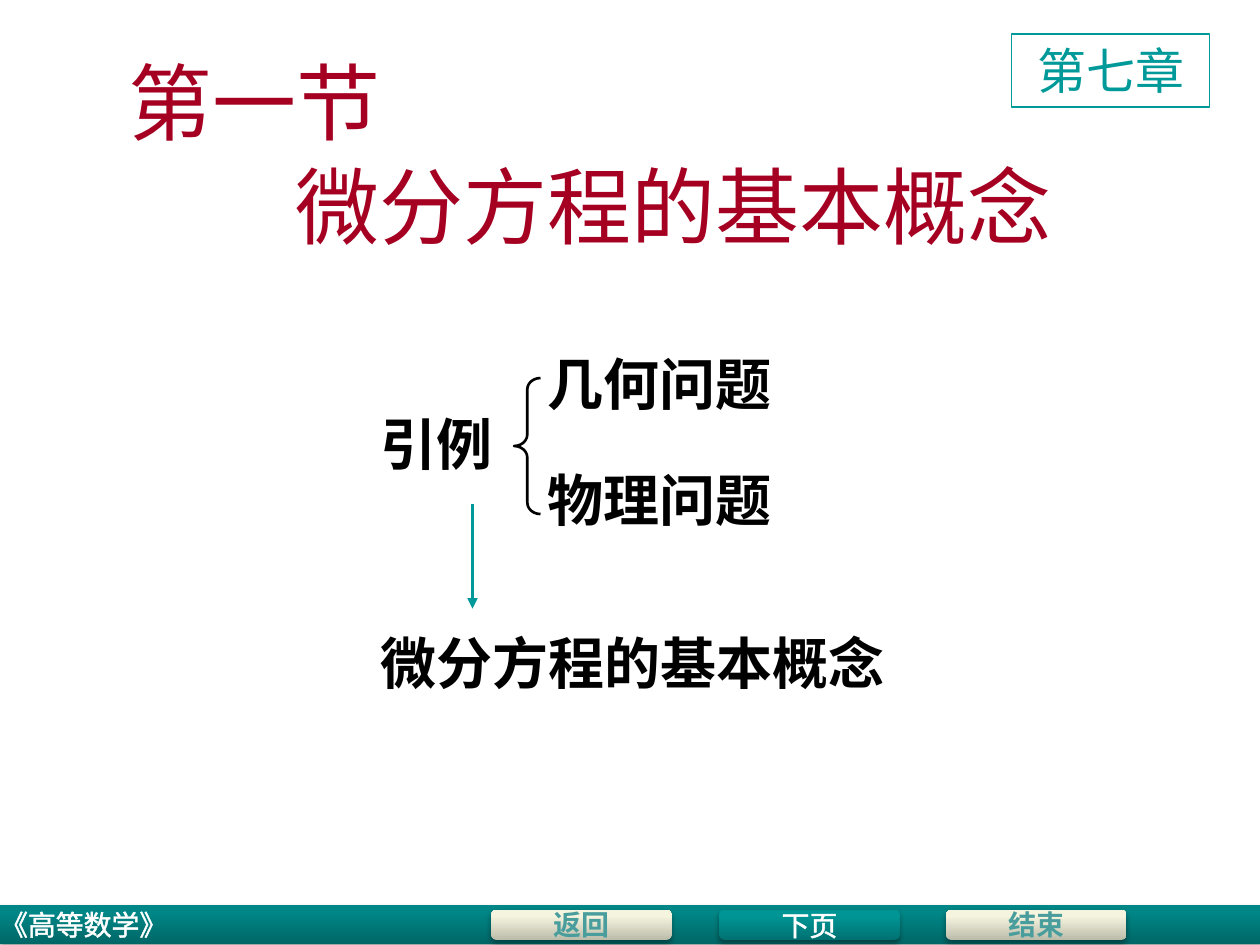
"""Builds the opening slide of a section on basic concepts of differential equations."""
from lxml import etree
from pptx import Presentation
from pptx.dml.color import RGBColor
from pptx.enum.shapes import MSO_CONNECTOR, MSO_SHAPE
from pptx.enum.text import MSO_ANCHOR, MSO_AUTO_SIZE, PP_ALIGN
from pptx.oxml import parse_xml
from pptx.oxml.ns import nsdecls, qn
from pptx.util import Inches, Pt

LEFT, CENTER = PP_ALIGN.LEFT, PP_ALIGN.CENTER
TOP, MIDDLE = MSO_ANCHOR.TOP, MSO_ANCHOR.MIDDLE
SANS, SERIF = "Noto Sans CJK SC", "Times New Roman"
COLORS = {
    "title": "A50021", "black": "000000", "white": "FFFFFF", "teal": "009999",
    "label": "499D9D", "bar_dark": "006767", "bar_light": "008686",
    "cream_dark": "BCBCAB", "cream_light": "F5F5DF",
    "next_dark": "007272", "next_light": "009595",
}
COLORS = {name: RGBColor.from_string(value) for name, value in COLORS.items()}


def write(shape, text, size, color, font=SERIF, bold=False, align=LEFT, anchor=MIDDLE, outlined=False):
    """Put one formatted line of text into a shape."""
    frame = shape.text_frame
    frame.text = text
    frame.word_wrap = False
    frame.auto_size = MSO_AUTO_SIZE.NONE
    frame.vertical_anchor = anchor
    para = frame.paragraphs[0]
    para.alignment = align
    span = para.runs[0]
    span.font.size = Pt(size)
    span.font.bold = bold
    span.font.name = font
    span.font.color.rgb = COLORS[color]
    properties = span.font._element
    east_asian = etree.Element(qn("a:ea"), typeface=SANS)
    properties.find(qn("a:latin")).addnext(east_asian)
    if outlined:
        span_line = (f'<a:ln {nsdecls("a")} w="18415"><a:solidFill>'
                     f'<a:srgbClr val="{COLORS[color]}"/></a:solidFill></a:ln>')
        properties.insert(0, parse_xml(span_line))


def add_panel(kind, left, top, width, height, tone):
    """Add a shaded panel with a soft shadow and no text margins."""
    panel = page.shapes.add_shape(kind, Inches(left), Inches(top), Inches(width), Inches(height))
    panel.line.fill.background()
    panel.fill.gradient()
    panel.fill.gradient_angle = 90
    for stop, shade in zip(panel.fill.gradient_stops, ("dark", "light")):
        stop.color.rgb = COLORS[f"{tone}_{shade}"]
    panel._element.xpath(".//a:gs")[1].set("pos", "80000")
    panel.shadow.inherit = False
    panel._element.spPr.find(qn("a:effectLst")).append(parse_xml(
        f'<a:outerShdw {nsdecls("a")} blurRad="39370" dist="22860" dir="5400000" rotWithShape="0">'
        '<a:srgbClr val="000000"><a:alpha val="35000"/></a:srgbClr></a:outerShdw>'))
    frame = panel.text_frame
    frame.margin_left = frame.margin_right = frame.margin_top = frame.margin_bottom = 0
    return panel


deck = Presentation()
deck.slide_width, deck.slide_height = Inches(10), Inches(7.5)
page = deck.slides.add_slide(deck.slide_layouts[5])

bar = add_panel(MSO_SHAPE.RECTANGLE, 0, 7.18, 10, 0.31, "bar")
write(bar, "《高等数学》", 16, "white", outlined=True)

buttons = [
    ("返回", 3.9, "cream", "label"),
    ("下页", 5.71, "next", "white"),
    ("结束", 7.51, "cream", "label"),
]
for label, left, tone, color in buttons:
    button = add_panel(MSO_SHAPE.ROUNDED_RECTANGLE, left, 7.22, 1.43, 0.24, tone)
    active = tone == "next"
    write(button, label, 16, color, bold=not active, align=CENTER, outlined=active)

title = page.shapes.title
title.left, title.top, title.width, title.height = Inches(0.92), Inches(0.35), Inches(2.58), Inches(1)
write(title, "第一节", 48, "title", SANS, anchor=TOP)

subtitle = page.shapes.add_textbox(Inches(2.25), Inches(1.18), Inches(6.36), Inches(0.9))
write(subtitle, "微分方程的基本概念", 48, "title", SANS, anchor=TOP)

example = page.shapes.add_textbox(Inches(2.92), Inches(3.2), Inches(1.21), Inches(0.63))
write(example, "引例", 32, "black", bold=True, anchor=TOP)

topics = [
    ("几何问题", 4.25, 2.75, 2.25, 0.58),
    ("物理问题", 4.25, 3.67, 2.25, 0.58),
    ("微分方程的基本概念", 2.92, 4.92, 4.58, 0.67),
]
for text, left, top, width, height in topics:
    topic = page.shapes.add_shape(
        MSO_SHAPE.ACTION_BUTTON_CUSTOM, Inches(left), Inches(top), Inches(width), Inches(height))
    topic.shadow.inherit = False
    topic.fill.background()
    topic.line.fill.background()
    write(topic, text, 32, "black", bold=True)

brace = page.shapes.add_shape(MSO_SHAPE.LEFT_BRACE, Inches(4.08), Inches(3), Inches(0.21), Inches(1.08))
brace.adjustments[0] = 0.43
brace.shadow.inherit = False
brace.fill.background()
brace.line.color.rgb = COLORS["black"]
brace.line.width = Pt(1.5)

arrow = page.shapes.add_connector(
    MSO_CONNECTOR.STRAIGHT, Inches(3.75), Inches(4), Inches(3.75), Inches(4.83))
arrow.line.color.rgb = COLORS["teal"]
arrow.line.width = Pt(1.5)
etree.SubElement(arrow.line._get_or_add_ln(), qn("a:tailEnd"), type="triangle")
etree.SubElement(arrow._element.spPr, qn("a:effectLst"))

chapter = page.shapes.add_shape(
    MSO_SHAPE.RECTANGLE, Inches(8.03), Inches(0.27), Inches(1.57), Inches(0.58))
chapter.shadow.inherit = False
chapter.fill.background()
chapter.line.color.rgb = COLORS["teal"]
chapter.line.width = Pt(0.75)
write(chapter, "第七章", 28, "teal", align=CENTER, anchor=TOP)

deck.save("out.pptx")
